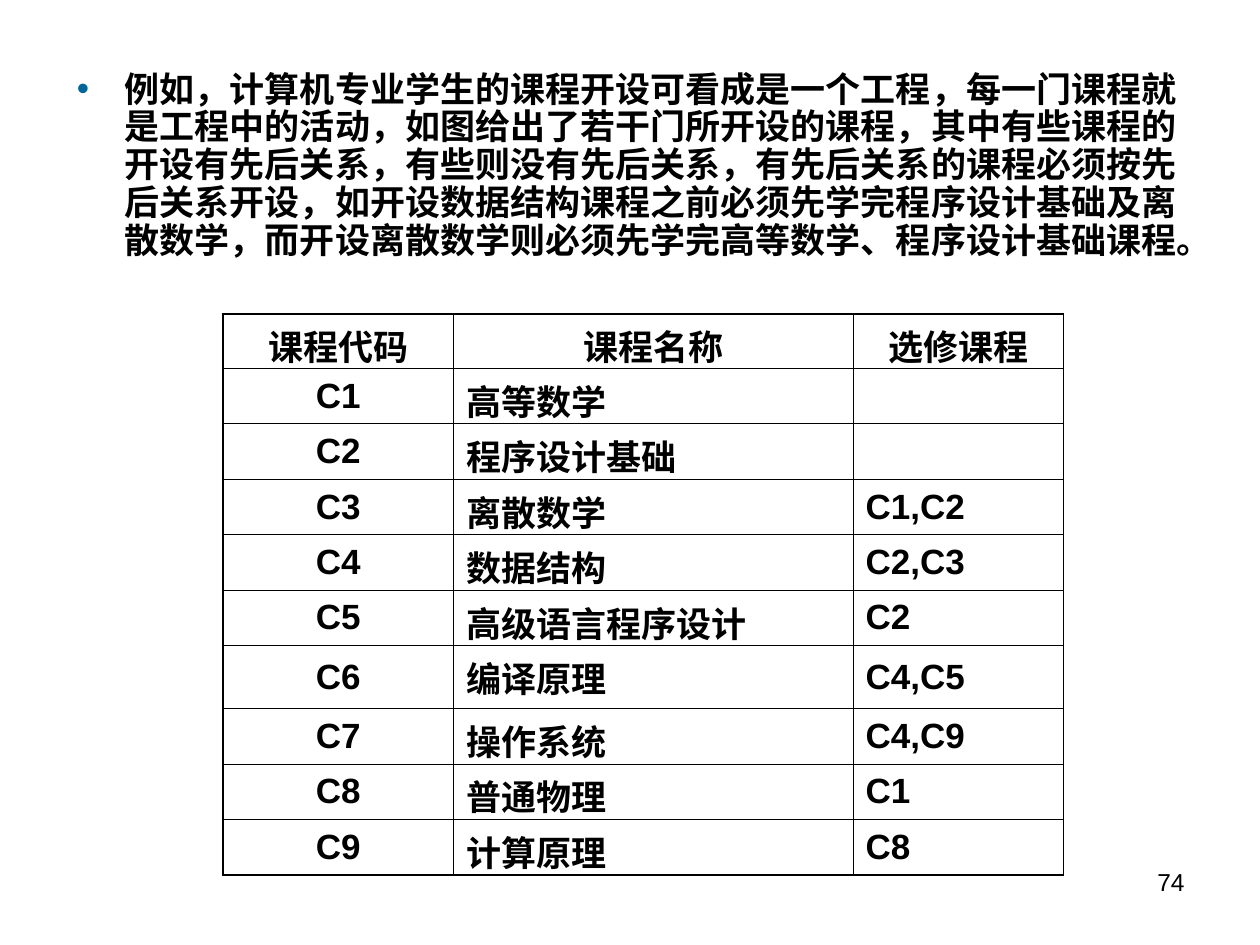
from lxml import etree
from pptx import Presentation
from pptx import util as u
from pptx.dml.color import RGBColor
from pptx.enum import text
from pptx.oxml import ns

INTRO = "例如，计算机专业学生的课程开设可看成是一个工程，每一门课程就是工程中的活动，如图给出了若干门所开设的课程，其中有些课程的开设有先后关系，有些则没有先后关系，有先后关系的课程必须按先后关系开设，如开设数据结构课程之前必须先学完程序设计基础及离散数学，而开设离散数学则必须先学完高等数学、程序设计基础课程。"
COURSES = [
    ("课程代码", "课程名称", "选修课程"),
    ("C1", "高等数学", ""),
    ("C2", "程序设计基础", ""),
    ("C3", "离散数学", "C1,C2"),
    ("C4", "数据结构", "C2,C3"),
    ("C5", "高级语言程序设计", "C2"),
    ("C6", "编译原理", "C4,C5"),
    ("C7", "操作系统", "C4,C9"),
    ("C8", "普通物理", "C1"),
    ("C9", "计算原理", "C8"),
]
PAGE_NUMBER = "74"
COLUMN_WIDTHS = (1.83, 3.17, 1.67)
ROW_HEIGHT, ROW_EXCEPTIONS = 0.44, {0: 0.43, 6: 0.5}
OUTER, INNER = 1.08, 0.45
BLACK = RGBColor(0, 0, 0)
BULLET = RGBColor(0, 0x66, 0x99)


def write(para, words, font, size, bold=False):
    span = para.add_run()
    span.text = words
    span.font.name, span.font.size, span.font.bold = font, u.Pt(size), bold
    span.font.color.rgb = BLACK


def add_colour(parent, colour):
    etree.SubElement(parent, ns.qn("a:srgbClr"), val=str(colour))


def add_intro(page):
    page.shapes.title.element.getparent().remove(page.shapes.title.element)
    body = page.placeholders[1]
    body.left, body.top, body.width, body.height = map(u.Inches, (0.51, 0.52, 9, 1.73))
    body.text_frame.auto_size = text.MSO_AUTO_SIZE.NONE
    para = body.text_frame.paragraphs[0]
    props = para._p.get_or_add_pPr()
    props.set("marL", str(u.Inches(0.38)))
    props.set("indent", str(-u.Inches(0.38)))
    add_colour(etree.SubElement(props, ns.qn("a:buClr")), BULLET)
    etree.SubElement(props, ns.qn("a:buChar"), char="•")
    para.line_spacing, para.space_before = 0.9, u.Pt(0)
    write(para, INTRO, "Times New Roman", 20, True)


def add_page_number(page):
    box = page.shapes.add_textbox(*map(u.Inches, (7.17, 6.83, 2.33, 0.52)))
    box.text_frame.word_wrap = True
    para = box.text_frame.paragraphs[0]
    para.alignment = text.PP_ALIGN.RIGHT
    write(para, PAGE_NUMBER, "Arial", 14)


def set_borders(cell, outer_sides):
    props = cell._tc.get_or_add_tcPr()
    for index, (side, is_outer) in enumerate(outer_sides.items()):
        width = u.Pt(OUTER if is_outer else INNER)
        line = etree.Element(ns.qn(f"a:ln{side}"), w=str(width))
        add_colour(etree.SubElement(line, ns.qn("a:solidFill")), BLACK)
        props.insert(index, line)


def add_courses(page):
    heights = [ROW_EXCEPTIONS.get(row, ROW_HEIGHT) for row in range(len(COURSES))]
    frame = page.shapes.add_table(
        len(COURSES), len(COLUMN_WIDTHS), u.Inches(1.77), u.Inches(2.49),
        u.Inches(sum(COLUMN_WIDTHS)), u.Inches(sum(heights)))
    table = frame.table
    table.first_row = table.horz_banding = False
    for column, width in zip(table.columns, COLUMN_WIDTHS):
        column.width = u.Inches(width)
    last_row, last_column = len(COURSES) - 1, len(COLUMN_WIDTHS) - 1
    for r, course in enumerate(COURSES):
        table.rows[r].height = u.Inches(heights[r])
        for c, words in enumerate(course):
            cell = table.cell(r, c)
            cell.fill.background()
            cell.vertical_anchor = text.MSO_ANCHOR.MIDDLE
            set_borders(cell, {"L": c == 0, "R": c == last_column,
                               "T": r == 0, "B": r == last_row})
            para = cell.text_frame.paragraphs[0]
            centred = r == 0 or c == 0
            para.alignment = text.PP_ALIGN.CENTER if centred else text.PP_ALIGN.LEFT
            if words:
                write(para, words, "Arial", 20, True)


def main():
    """Build the slide on courses and their prerequisites."""
    deck = Presentation()
    deck.slide_width, deck.slide_height = u.Inches(10), u.Inches(7.5)
    page = deck.slides.add_slide(deck.slide_layouts[1])
    add_intro(page)
    add_page_number(page)
    add_courses(page)
    deck.save("out.pptx")


if __name__ == "__main__":
    main()
